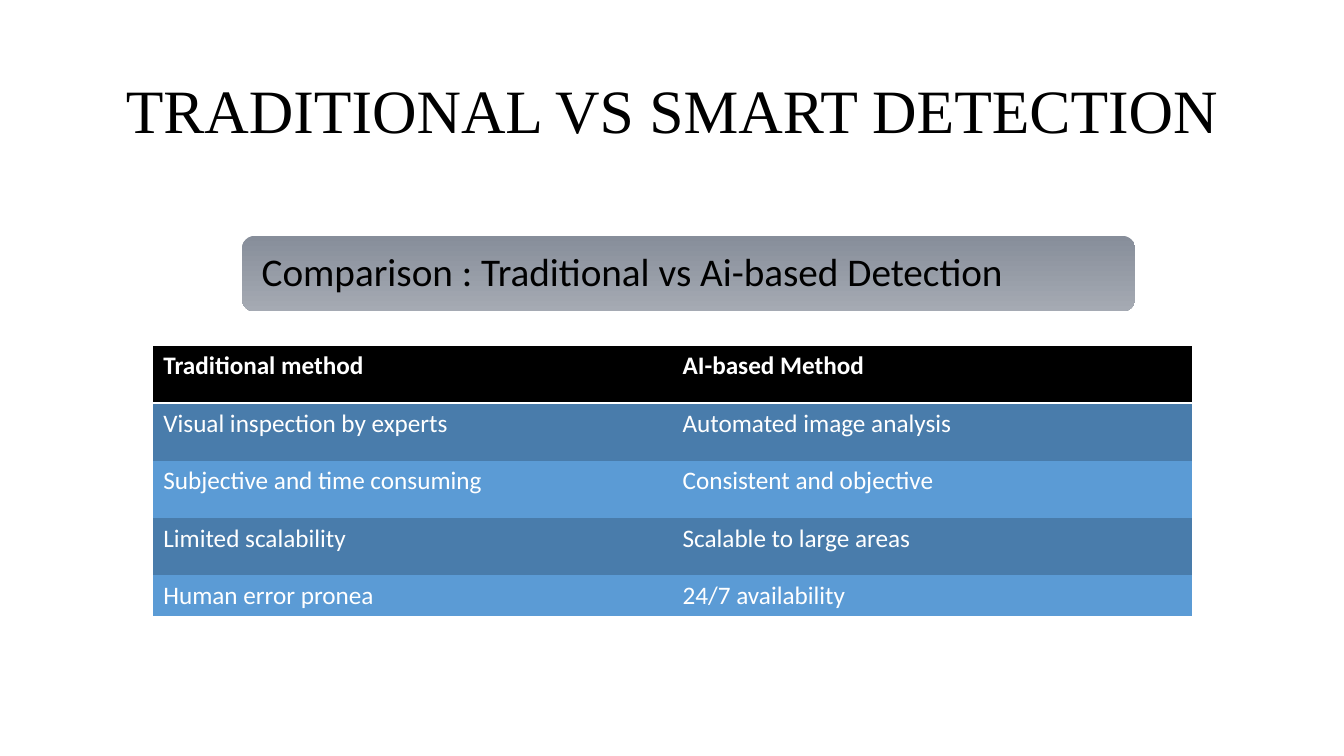
from pptx import Presentation
from pptx.dml.color import RGBColor
from pptx.enum.shapes import MSO_SHAPE as Shape
from pptx.enum.text import MSO_ANCHOR as Anchor, PP_ALIGN as Align
from pptx.oxml import parse_xml
from pptx.oxml.ns import nsdecls, qn
from pptx.util import Inches, Pt

COLORS = {
    "black": "000000",
    "white": "FFFFFF",
    "band_dark": "497CAB",
    "band_light": "5B9BD5",
    "banner_top": "878E9A",
    "banner_bottom": "A5AAB3",
}
NO_GRID_STYLE = "{2D5ABB26-0587-4C30-8999-92F81FD0307C}"

COMPARISON = [
    ("Traditional method", "AI-based Method"),
    ("Visual inspection by experts", "Automated image analysis"),
    ("Subjective and time consuming", "Consistent and objective"),
    ("Limited scalability", "Scalable to large areas"),
    ("Human error pronea", "24/7 availability"),
]


def rgb(name):
    return RGBColor.from_string(COLORS[name])


def write(frame, text, size, font="Calibri", color="black", bold=False,
          align=Align.LEFT, spacing=None):
    frame.word_wrap = True
    paragraph = frame.paragraphs[0]
    paragraph.alignment = align
    paragraph.line_spacing = spacing
    run = paragraph.add_run()
    run.text = text
    run.font.size = Pt(size)
    run.font.name = font
    run.font.bold = bold
    run.font.color.rgb = rgb(color)


def add_title(slide, left, top, width, height):
    title = slide.shapes.add_textbox(
        Inches(left), Inches(top), Inches(width), Inches(height))
    title.text_frame.vertical_anchor = Anchor.MIDDLE
    write(title.text_frame, "TRADITIONAL VS SMART DETECTION", 44,
          font="Times New Roman", align=Align.CENTER, spacing=0.9)


def add_banner(slide, left, top, width, height):
    banner = slide.shapes.add_shape(
        Shape.ROUNDED_RECTANGLE,
        Inches(left), Inches(top), Inches(width), Inches(height))
    banner.shadow.inherit = False
    banner.line.fill.background()

    # Gradient running from top to bottom
    banner.fill.gradient()
    banner.fill.gradient_angle = 270
    for stop, position, color in zip(banner.fill.gradient_stops, (0, 1),
                                     ("banner_top", "banner_bottom")):
        stop.position = position
        stop.color.rgb = rgb(color)

    frame = banner.text_frame
    frame.vertical_anchor = Anchor.MIDDLE
    frame.margin_left = frame.margin_right = Inches(0.16)
    write(frame, "Comparison : Traditional vs Ai-based Detection", 28,
          spacing=0.9)


def add_bottom_rule(cell, color, points):
    cell._tc.get_or_add_tcPr().insert(0, parse_xml(
        f'<a:lnB {nsdecls("a")} w="{Pt(points)}"><a:solidFill>'
        f'<a:srgbClr val="{COLORS[color]}"/></a:solidFill></a:lnB>'))


def add_comparison(slide, left, top, width, row_height, last_height):
    row_count, column_count = len(COMPARISON), len(COMPARISON[0])
    height = row_height * (row_count - 1) + last_height
    table = slide.shapes.add_table(
        row_count, column_count,
        Inches(left), Inches(top), Inches(width), Inches(height)).table
    table._tbl.tblPr.find(qn("a:tableStyleId")).text = NO_GRID_STYLE

    for index, entries in enumerate(COMPARISON):
        is_header = index == 0
        is_last = index == row_count - 1
        table.rows[index].height = Inches(
            last_height if is_last else row_height)
        band = "band_dark" if index % 2 else "band_light"
        for column, entry in enumerate(entries):
            cell = table.cell(index, column)
            cell.fill.solid()
            cell.fill.fore_color.rgb = rgb("black" if is_header else band)
            write(cell.text_frame, entry, 18, color="white", bold=is_header)
            if is_header:
                add_bottom_rule(cell, "white", 2)


def main():
    presentation = Presentation()
    presentation.slide_width = Inches(13.33)
    presentation.slide_height = Inches(7.5)
    slide = presentation.slides.add_slide(presentation.slide_layouts[6])

    add_title(slide, 0.92, 0.4, 11.5, 1.45)
    add_banner(slide, 2.4, 2.34, 8.86, 0.75)
    add_comparison(slide, 1.52, 3.43, 10.3, row_height=0.57, last_height=0.4)

    presentation.save("out.pptx")


if __name__ == "__main__":
    main()
